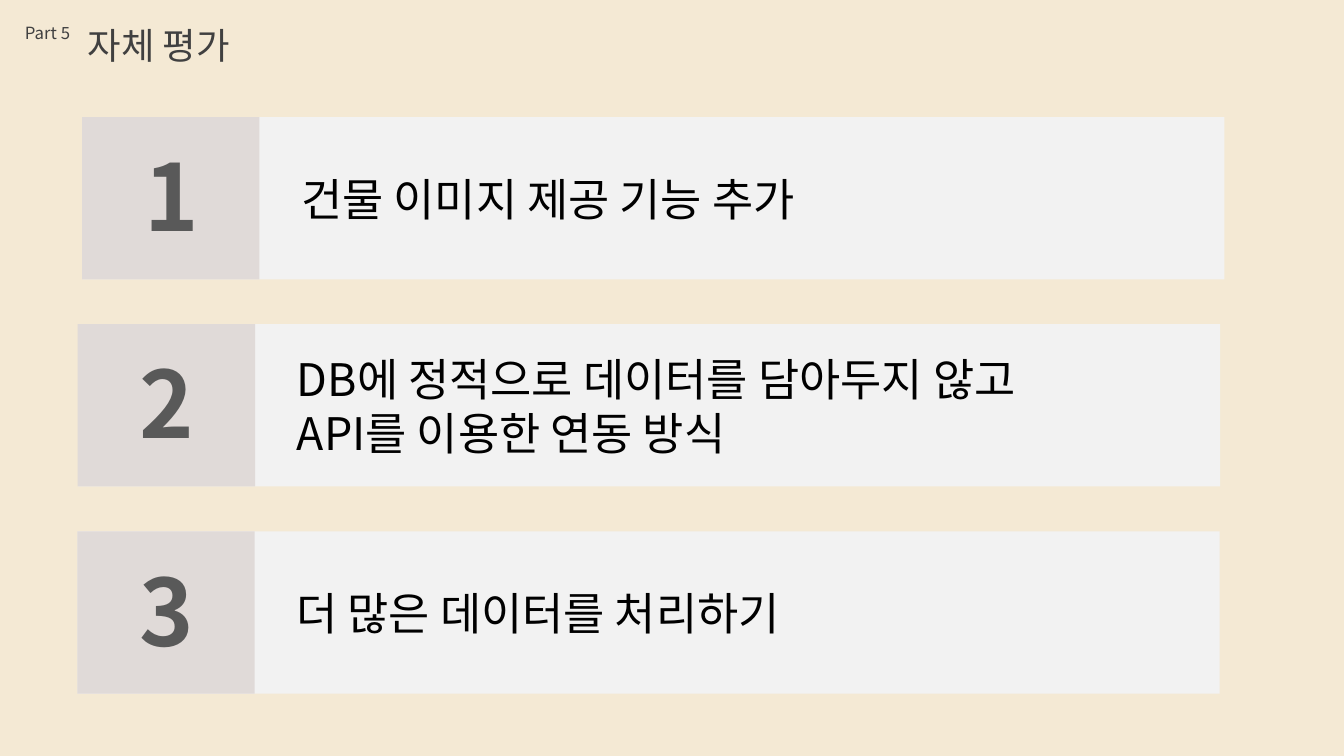
from lxml import etree
from pptx import Presentation
from pptx.dml.color import RGBColor
from pptx.enum.shapes import MSO_SHAPE
from pptx.enum.text import MSO_ANCHOR, MSO_AUTO_SIZE, PP_ALIGN
from pptx.oxml.ns import qn
from pptx.util import Cm, Pt

RECT = MSO_SHAPE.RECTANGLE
MIDDLE = MSO_ANCHOR.MIDDLE
FIT = MSO_AUTO_SIZE.SHAPE_TO_FIT_TEXT
LEFT, CENTER = PP_ALIGN.LEFT, PP_ALIGN.CENTER

FONT = "Noto Sans CJK KR"
BACKGROUND, PANEL, BADGE = "F4E9D4", "F2F2F2", "E0DAD8"
HEADING, NUMBER, BODY = "404040", "595959", "000000"

ROW_TOP, ROW_PITCH = 2.95, 5.22
ROW_WIDTH, ROW_HEIGHT = 28.78, 4.09
ROWS = [
    (2.08, ["건물 이미지 제공 기능 추가"]),
    (1.97, ["DB에 정적으로 데이터를 담아두지 않고", "API를 이용한 연동 방식"]),
    (1.96, ["더 많은 데이터를 처리하기"]),
]


def color(value):
    return RGBColor.from_string(value)


def write(tf, lines, size, ink, bold=False, align=LEFT):
    for i, line in enumerate(lines):
        p = tf.paragraphs[0] if i == 0 else tf.add_paragraph()
        p.alignment = align
        r = p.add_run()
        r.text = line
        for name, value in {"name": FONT, "size": Pt(size), "bold": bold}.items():
            setattr(r.font, name, value)
        r.font.color.rgb = color(ink)
        etree.SubElement(r.font._element, qn("a:ea"), typeface=FONT)


def add_label(s, box, text, size, ink, **style):
    tf = s.shapes.add_textbox(*map(Cm, box)).text_frame
    tf.word_wrap = False
    tf.auto_size = FIT
    write(tf, [text], size, ink, **style)


def add_block(s, box, fill):
    sp = s.shapes.add_shape(RECT, *map(Cm, box))
    sp.shadow.inherit = False
    sp.fill.solid()
    sp.fill.fore_color.rgb = color(fill)
    sp.line.fill.background()
    return sp


def add_header(s, left, top):
    add_label(s, (left, top, 1.68, 0.77), "Part 5", 12, HEADING)
    add_label(s, (left + 1.58, top, 4.55, 1.37), "자체 평가", 26, HEADING)


def add_row(s, box, number, lines):
    left, top, width, height = box
    tf = add_block(s, box, PANEL).text_frame
    tf.word_wrap = True
    tf.vertical_anchor = MIDDLE
    tf.margin_left = Cm(5.51)
    write(tf, lines, 32, BODY)
    add_block(s, (left - 0.01, top, 4.47, height), BADGE)
    add_label(s, (left + 1.3, top + 0.44, 1.85, 3.07), str(number), 66, NUMBER,
              bold=True, align=CENTER)


def main():
    prs = Presentation()
    prs.slide_width, prs.slide_height = Cm(33.87), Cm(19.05)
    s = prs.slides.add_slide(prs.slide_layouts[6])
    s.background.fill.solid()
    s.background.fill.fore_color.rgb = color(BACKGROUND)
    add_header(s, 0.38, 0.45)
    for i, (left, lines) in enumerate(ROWS):
        box = (left, ROW_TOP + i * ROW_PITCH, ROW_WIDTH, ROW_HEIGHT)
        add_row(s, box, i + 1, lines)
    prs.save("out.pptx")


if __name__ == "__main__":
    main()
